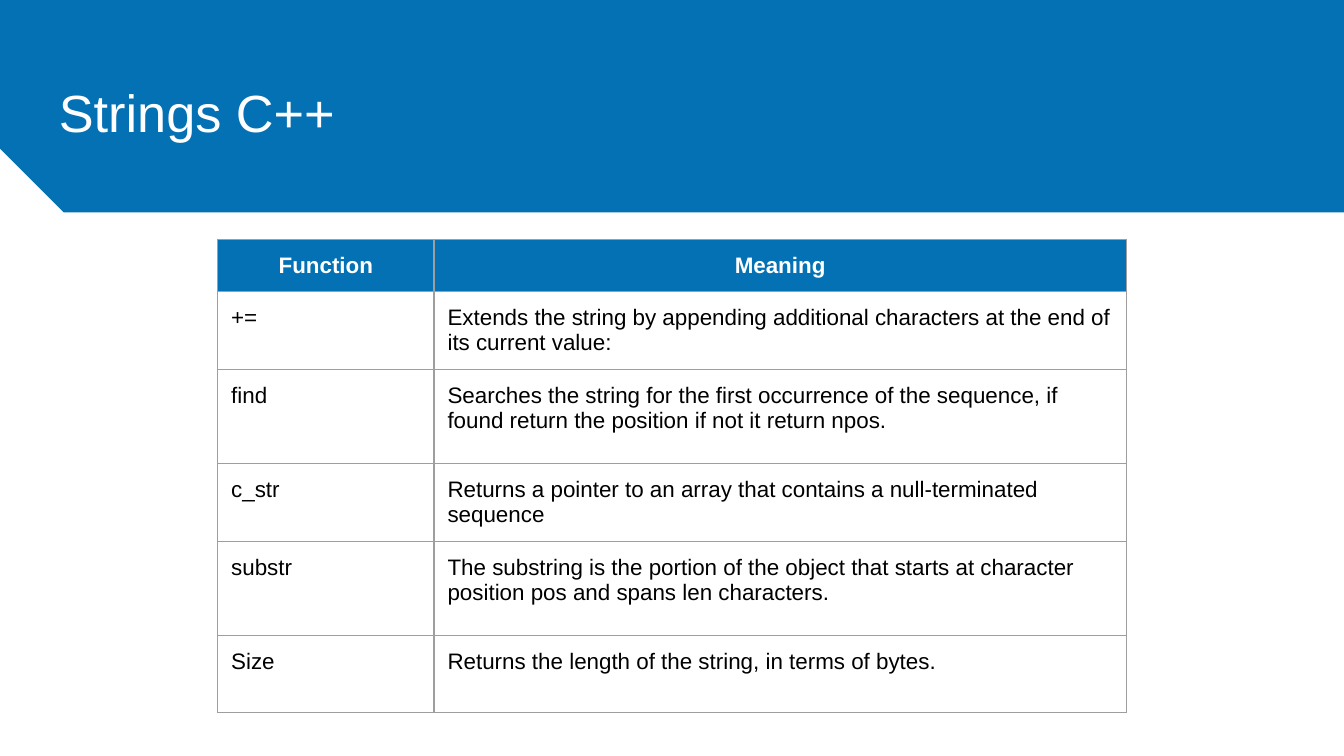
"""Build a slide with a table of C++ string functions."""
from lxml import etree
from pptx import Presentation
from pptx import util as u
from pptx.dml import color
from pptx.enum import shapes, text
from pptx.oxml import ns

HUES = {"blue": "0471B4", "white": "FFFFFF", "black": "000000", "grey": "9E9E9E"}
WIDE = u.Inches(10)
COLS = [1.61, 5.15]
ROWS = [0.39, 0.58, 0.7, 0.58, 0.7, 0.57]
CELLS = [
    ("Function", "Meaning"),
    ("+=", "Extends the string by appending additional characters at the end of its current value:"),
    ("find", "Searches the string for the first occurrence of the sequence, if found return the position if not it return npos."),
    ("c_str", "Returns a pointer to an array that contains a null-terminated sequence"),
    ("substr", "The substring is the portion of the object that starts at character position pos and spans len characters."),
    ("Size", "Returns the length of the string, in terms of bytes."),
]
PAD = {"margin_" + side: u.Inches(0.1) for side in ("left", "top", "right", "bottom")}
SNUG = {**PAD, "margin_bottom": u.Inches(0.07)}
TITLE = {"size": u.Pt(28), "name": "Arial", "bold": False}
HEAD = {"size": u.Pt(12), "name": "Arial", "bold": True}
BODY = {**HEAD, "bold": False}


def put(item, vals):
    for key, val in vals.items():
        setattr(item, key, val)


def rgb(hue):
    return color.RGBColor.from_string(HUES[hue])


def paint(item, hue):
    item.fill.solid()
    item.fill.fore_color.rgb = rgb(hue)


def write(frame, words, form, hue, align):
    para = frame.paragraphs[0]
    para.alignment = align
    run = para.add_run()
    run.text = words
    put(run.font, form)
    run.font.color.rgb = rgb(hue)


def banner(slide):
    shape = slide.shapes.add_shape(
        shapes.MSO_SHAPE.SNIP_1_RECTANGLE, 0, 0, WIDE, u.Inches(1.58))
    shape.adjustments[0] = 0.3
    shape.rotation = 180
    shape.shadow.inherit = False
    paint(shape, "blue")
    shape.line.fill.background()


def title(slide, words):
    box = slide.shapes.add_textbox(*map(u.Inches, (0.34, 0.5, 9.32, 0.63)))
    put(box.text_frame, {**PAD, "word_wrap": True,
                         "vertical_anchor": text.MSO_ANCHOR.TOP})
    write(box.text_frame, words, TITLE, "white", text.PP_ALIGN.LEFT)


def border(cell):
    props = cell._tc.get_or_add_tcPr()
    for side in "LRTB":
        line = etree.SubElement(props, ns.qn("a:ln" + side), w=str(u.Pt(0.75)))
        fill = etree.SubElement(line, ns.qn("a:solidFill"))
        etree.SubElement(fill, ns.qn("a:srgbClr"), val=HUES["grey"])


def grid(slide):
    size = map(u.Inches, (1.62, 1.78, sum(COLS), sum(ROWS)))
    table = slide.shapes.add_table(len(ROWS), len(COLS), *size).table
    put(table, {"first_row": False, "horz_banding": False})
    for col, width in zip(table.columns, COLS):
        col.width = u.Inches(width)
    for i, (row, height) in enumerate(zip(table.rows, ROWS)):
        row.height = u.Inches(height)
        for cell, words in zip(row.cells, CELLS[i]):
            put(cell, SNUG)
            border(cell)
            if i == 0:
                paint(cell, "blue")
                write(cell.text_frame, words, HEAD, "white", text.PP_ALIGN.CENTER)
            else:
                cell.fill.background()
                write(cell.text_frame, words, BODY, "black", text.PP_ALIGN.LEFT)


def main():
    deck = Presentation()
    put(deck, {"slide_width": WIDE, "slide_height": WIDE * 9 // 16})
    slide = deck.slides.add_slide(deck.slide_layouts[6])
    paint(slide.background, "white")
    banner(slide)
    title(slide, "Strings C++")
    grid(slide)
    deck.save("out.pptx")


main()
